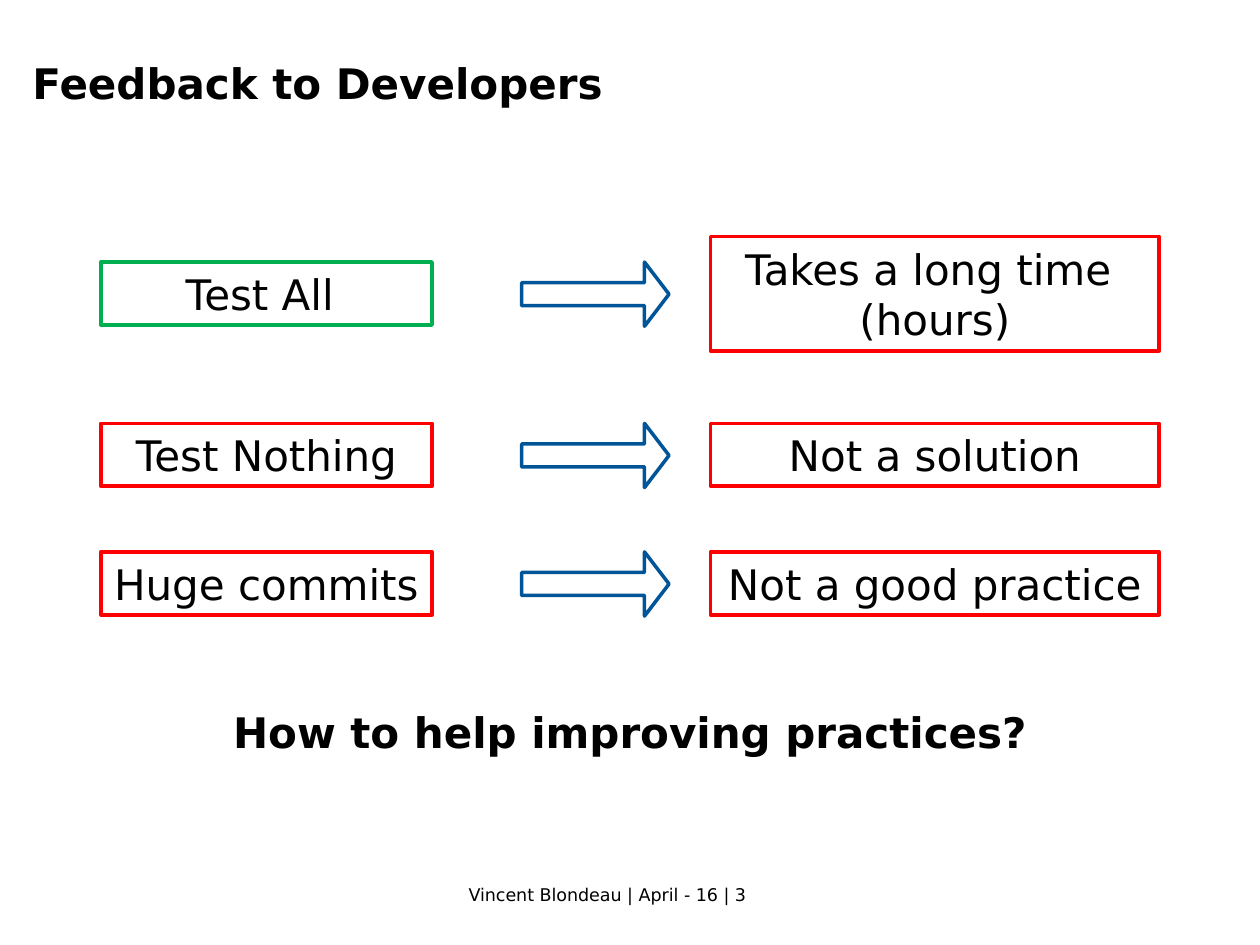
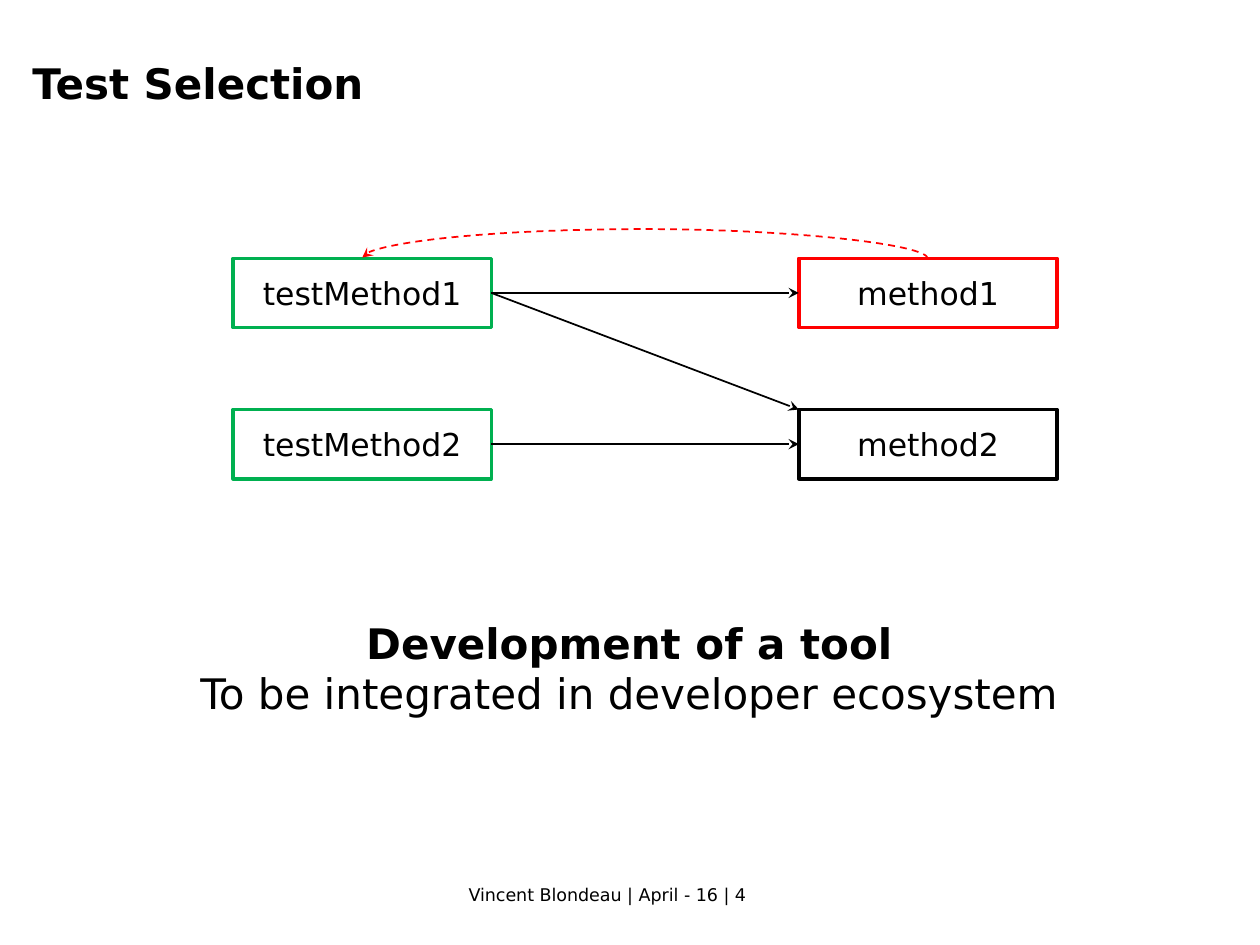
import pptx
import pptx.util
import pptx.dml.color
import pptx.enum.dml
import pptx.enum.shapes
import pptx.enum.text
import pptx.oxml.ns
import lxml.etree

FONT = "DejaVu Sans"
BLACK, WHITE, RED, GREEN, BLUE = "000000", "FFFFFF", "FF0000", "00B050", "005498"
COLS, ROWS = 100, 75
SHAPE = pptx.enum.shapes.MSO_SHAPE
LINK = pptx.enum.shapes.MSO_CONNECTOR
ALIGN = pptx.enum.text.PP_ALIGN
ANCHOR = pptx.enum.text.MSO_ANCHOR


def tint(code):
    return pptx.dml.color.RGBColor.from_string(code)


def tag(name):
    return pptx.oxml.ns.qn(f"a:{name}")


class Deck:
    def __init__(self):
        self.file = pptx.Presentation()
        self.file.slide_width = pptx.util.Inches(10)
        self.file.slide_height = pptx.util.Inches(7.5)
        self.slide = None

    def grid(self, col, row):
        return (round(col * self.file.slide_width / COLS),
                round(row * self.file.slide_height / ROWS))

    def page(self, title, number):
        self.slide = self.file.slides.add_slide(self.file.slide_layouts[6])
        self.label(36.2, 69.7, 27.5, 2.7, [(f"Vincent Blondeau | April - 16 | {number}", False)], 10)
        self.label(1.6, 4.1, 95.7, 8.3, [(title, True)])

    def letter(self, frame, lines, size, align):
        frame.word_wrap = True
        for index, (text, bold) in enumerate(lines):
            para = frame.paragraphs[0] if index == 0 else frame.add_paragraph()
            para.alignment = align
            for part, words in enumerate(text.split("\n")):
                if part:
                    para.add_line_break()
                run = para.add_run()
                run.text = words
                run.font.name = FONT
                run.font.size = pptx.util.Pt(size)
                run.font.bold = bold
                run.font.color.rgb = tint(BLACK)

    def label(self, col, row, wide, high, lines, size=24, align=ALIGN.LEFT):
        text = self.slide.shapes.add_textbox(*self.grid(col, row), *self.grid(wide, high))
        self.letter(text.text_frame, lines, size, align)

    def shape(self, kind, col, row, wide, high, line):
        item = self.slide.shapes.add_shape(kind, *self.grid(col, row), *self.grid(wide, high))
        item.shadow.inherit = False
        item.line.color.rgb = tint(line)
        item.line.width = pptx.util.Pt(2)
        return item

    def box(self, col, row, wide, high, text, line, size=24):
        item = self.shape(SHAPE.RECTANGLE, col, row, wide, high, line)
        item.fill.solid()
        item.fill.fore_color.rgb = tint(WHITE)
        item.text_frame.vertical_anchor = ANCHOR.MIDDLE
        self.letter(item.text_frame, [(text, False)], size, ALIGN.CENTER)

    def arrow(self, col, row, wide, high):
        item = self.shape(SHAPE.RIGHT_ARROW, col, row, wide, high, BLUE)
        item.fill.background()
        item.adjustments[0] = 0.358
        item.adjustments[1] = 0.382

    def link(self, start, end, line=BLACK, kind=LINK.STRAIGHT):
        item = self.slide.shapes.add_connector(kind, *self.grid(*start), *self.grid(*end))
        item.line.color.rgb = tint(line)
        item.line.width = pptx.util.Pt(1)
        props = item.element.spPr
        lxml.etree.SubElement(props.find(tag("ln")), tag("tailEnd"), type="stealth")
        lxml.etree.SubElement(props, tag("effectLst"))
        return item

    def arc(self, left, right, row, rise, line):
        mid, half, thin = (left + right) / 2, (right - left) / 2, 0.1
        item = self.link((mid - thin / 2, row - half), (mid + thin / 2, row + half), line, LINK.CURVE)
        item.line.dash_style = pptx.enum.dml.MSO_LINE.DASH
        props = item.element.spPr
        frame = props.find(tag("xfrm"))
        frame.set("rot", str(270 * 60000))
        frame.set("flipV", "1")
        guides = props.find(tag("prstGeom")).find(tag("avLst"))
        bend = round(rise / thin * 100000)
        lxml.etree.SubElement(guides, tag("gd"), name="adj1", fmla=f"val {bend}")


def feedback(deck):
    deck.page("Feedback to Developers", 3)
    high = 5
    cases = [
        (20.8, "Test All ", GREEN, "Takes a long time \n(hours)", 9.1),
        (33.6, "Test Nothing", RED, "Not a solution", high),
        (43.8, "Huge commits", RED, "Not a good practice", high),
    ]
    for row, cause, line, effect, tall in cases:
        deck.box(8, row, 26.3, high, cause, line)
        deck.box(56.4, row - (tall - high) / 2, 35.6, tall, effect, RED)
        deck.arrow(41.4, row, 11.7, 5.1)
    deck.label(16.7, 55.6, 66.6, 5, [("How to help improving practices?", True)], align=ALIGN.CENTER)


def choice(deck):
    deck.page("Test Selection", 4)
    test, code, wide, high = 18.5, 63.4, 20.5, 5.5
    tops = (20.5, 32.5)
    for index, (top, line) in enumerate(zip(tops, (RED, BLACK)), 1):
        deck.box(test, top, wide, high, f"testMethod{index}", GREEN, 18)
        deck.box(code, top, wide, high, f"method{index}", line, 18)
        deck.link((test + wide, top + high / 2), (code, top + high / 2))
    deck.link((test + wide, tops[0] + high / 2), (code, tops[1]))
    deck.arc(test + wide / 2, code + wide / 2, tops[0], 2.4, RED)
    deck.label(14.6, 48.5, 70.7, 9.1, [
        ("Development of a tool", True),
        ("To be integrated in developer ecosystem", False),
    ], align=ALIGN.CENTER)


def main():
    deck = Deck()
    feedback(deck)
    choice(deck)
    deck.file.save("out.pptx")


if __name__ == "__main__":
    main()
